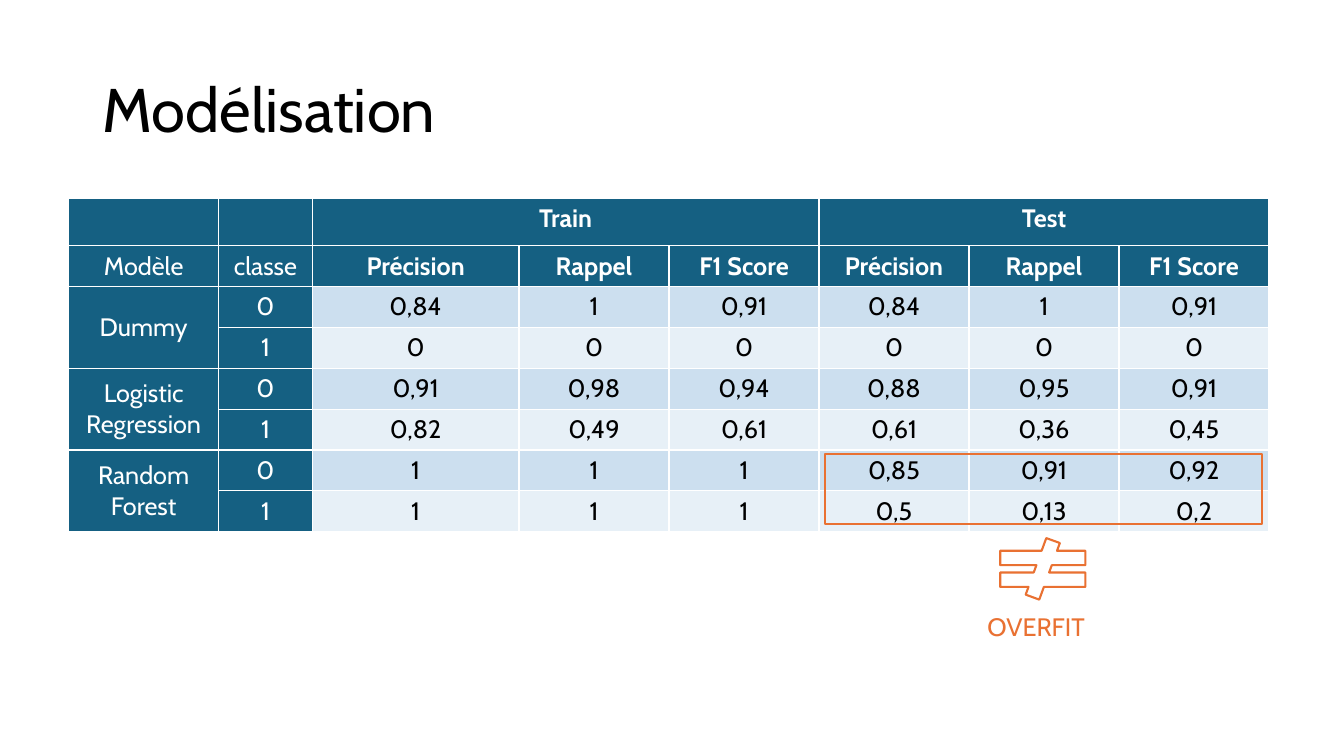
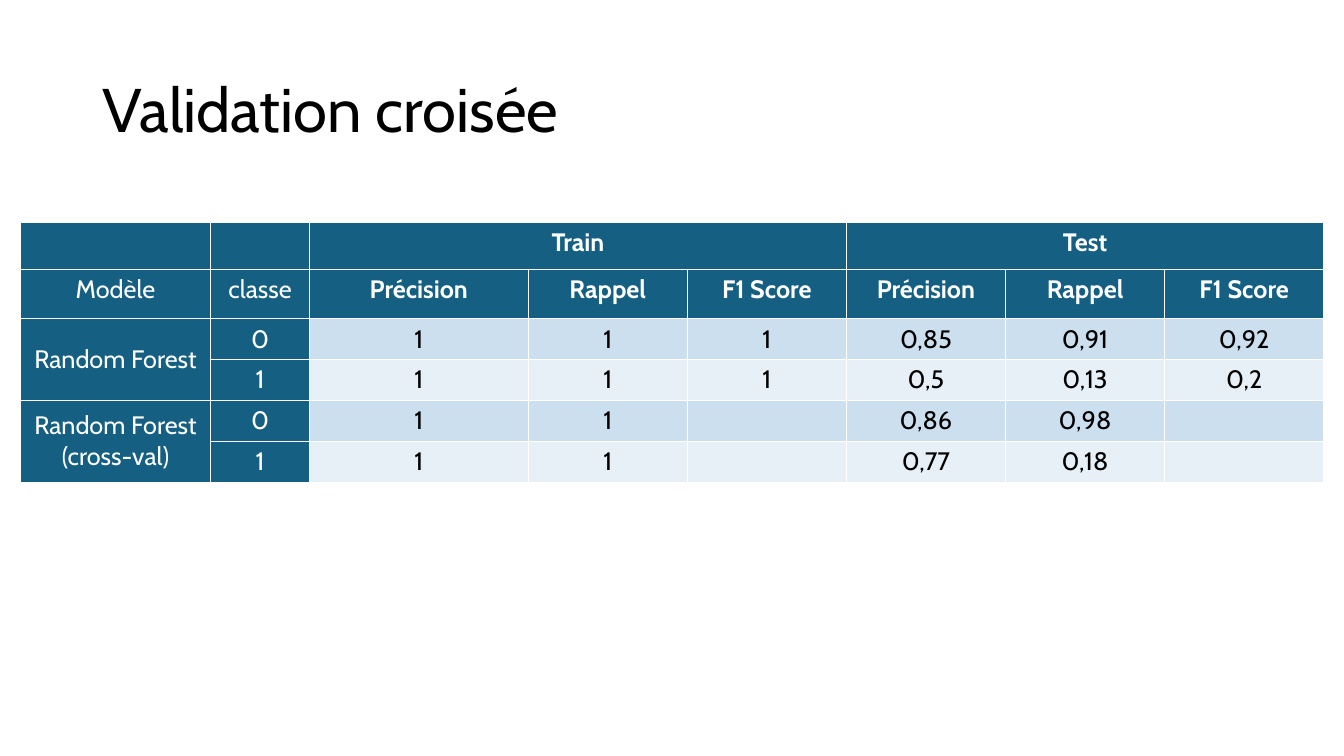
from lxml import etree
from pptx import Presentation
from pptx.dml.color import RGBColor
from pptx.enum.shapes import MSO_SHAPE
from pptx.enum.text import MSO_ANCHOR, PP_ALIGN
from pptx.oxml import parse_xml
from pptx.oxml.ns import nsdecls
from pptx.util import Cm, Pt

CENTER, LEFT = PP_ALIGN.CENTER, PP_ALIGN.LEFT
TOP, MIDDLE = MSO_ANCHOR.TOP, MSO_ANCHOR.MIDDLE
RECTANGLE, NOT_EQUAL = MSO_SHAPE.RECTANGLE, MSO_SHAPE.MATH_NOT_EQUAL

FONT = "Cabin"
BLACK = RGBColor(0x00, 0x00, 0x00)
WHITE = RGBColor(0xFF, 0xFF, 0xFF)
HEADER_BLUE = RGBColor(0x15, 0x60, 0x82)
ORANGE = RGBColor(0xE9, 0x71, 0x32)
BANDS = (RGBColor(0xCC, 0xDF, 0xEF), RGBColor(0xE7, 0xF0, 0xF7))

# Content: each model has one row of scores per class (0, then 1)
PHASES = ("Train", "Test")
METRICS = ("Précision", "Rappel", "F1 Score")
LABELS = ("Modèle", "classe")

SCORE_SLIDES = [
    {
        "title": "Modélisation",
        "origin": (1.73, 5.0),
        "columns": [3.78, 2.36, 5.21] + [3.78] * 5,
        "header_rows": [1.19, 1.03],
        "models": [
            ("Dummy", [("0,84", "1", "0,91", "0,84", "1", "0,91"),
                       ("0", "0", "0", "0", "0", "0")]),
            ("Logistic Regression", [("0,91", "0,98", "0,94", "0,88", "0,95", "0,91"),
                                     ("0,82", "0,49", "0,61", "0,61", "0,36", "0,45")]),
            ("Random Forest", [("1", "1", "1", "0,85", "0,91", "0,92"),
                               ("1", "1", "1", "0,5", "0,13", "0,2")]),
        ],
        "overfit": True,
    },
    {
        "title": "Validation croisée",
        "origin": (0.51, 5.6),
        "columns": [4.8, 2.49, 5.51] + [4.01] * 5,
        "header_rows": [1.19, 1.24],
        "models": [
            ("Random Forest", [("1", "1", "1", "0,85", "0,91", "0,92"),
                               ("1", "1", "1", "0,5", "0,13", "0,2")]),
            ("Random Forest\n(cross-val)", [("1", "1", "", "0,86", "0,98", ""),
                                            ("1", "1", "", "0,77", "0,18", "")]),
        ],
        "overfit": False,
    },
]
SCORE_ROW = 1.03

# Places on the slide: left, top, width, height in cm
TITLE_BOX = (2.33, 1.0, 29.21, 3.68)
OVERFIT_FRAME = (20.8, 11.43, 11.0, 1.78)
OVERFIT_SIGN = (24.82, 13.56, 2.92, 1.55)
OVERFIT_LABEL = (23.19, 15.29, 5.84, 1.02)


def write(frame, text, size=18, color=BLACK, bold=False, align=CENTER,
          anchor=TOP, spacing=None):
    frame.word_wrap = True
    frame.vertical_anchor = anchor
    frame.text = text
    for paragraph in frame.paragraphs:
        paragraph.alignment = align
        paragraph.line_spacing = spacing
        for run in paragraph.runs:
            run.font.name = FONT
            run.font.size = Pt(size)
            run.font.bold = bold
            run.font.color.rgb = color


def add_text(slide, box, text, **style):
    write(slide.shapes.add_textbox(*map(Cm, box)).text_frame, text, **style)


def add_outline(slide, preset, box):
    outline = slide.shapes.add_shape(preset, *map(Cm, box))
    outline.shadow.inherit = False
    outline.fill.background()
    outline.line.color.rgb = ORANGE
    outline.line.width = Pt(1.5)


def add_borders(cell):
    properties = cell._tc.get_or_add_tcPr()
    for side in ("lnL", "lnR", "lnT", "lnB"):
        border = parse_xml(f'<a:{side} {nsdecls("a")} w="{Pt(1)}"/>')
        fill = etree.SubElement(border, border.tag.replace(side, "solidFill"))
        color = etree.SubElement(fill, border.tag.replace(side, "srgbClr"))
        color.set("val", str(WHITE))
        properties.append(border)


def score_grid(models):
    """Texts of the whole table, row by row; merged cells stay empty."""
    phase_row = ["", ""]
    for phase in PHASES:
        phase_row += [phase] + [""] * (len(METRICS) - 1)
    grid = [phase_row, [*LABELS, *METRICS * len(PHASES)]]
    for model, class_scores in models:
        for number, scores in enumerate(class_scores):
            grid.append([model if number == 0 else "", str(number), *scores])
    return grid


def add_score_table(slide, content):
    grid = score_grid(content["models"])
    columns = content["columns"]
    heads = len(content["header_rows"])
    heights = content["header_rows"] + [SCORE_ROW] * (len(grid) - heads)
    size = (sum(columns), sum(heights))
    table = slide.shapes.add_table(len(grid), len(columns),
                                   *map(Cm, content["origin"] + size)).table
    table.first_row = table.horz_banding = False
    for column, width in zip(table.columns, columns):
        column.width = Cm(width)
    for row, height in zip(table.rows, heights):
        row.height = Cm(height)

    # Cells: blue headers above and to the left, banded scores
    for r, texts in enumerate(grid):
        for c, text in enumerate(texts):
            cell = table.cell(r, c)
            is_header = r < heads or c < len(LABELS)
            add_borders(cell)
            cell.fill.solid()
            cell.fill.fore_color.rgb = HEADER_BLUE if is_header else BANDS[(r - heads) % 2]
            write(cell.text_frame, text, color=WHITE if is_header else BLACK,
                  bold=r < heads and c >= len(LABELS))
            cell.vertical_anchor = MIDDLE if r >= heads and c == 0 else TOP

    # Spans: one per phase, one per model
    for c in range(len(LABELS), len(columns), len(METRICS)):
        table.cell(0, c).merge(table.cell(0, c + len(METRICS) - 1))
    for r in range(heads, len(grid), 2):
        table.cell(r, 0).merge(table.cell(r + 1, 0))


def main():
    deck = Presentation()
    deck.slide_width, deck.slide_height = Cm(33.87), Cm(19.05)
    for content in SCORE_SLIDES:
        slide = deck.slides.add_slide(deck.slide_layouts[6])
        add_text(slide, TITLE_BOX, content["title"], size=44, align=LEFT,
                 anchor=MIDDLE, spacing=0.9)
        add_score_table(slide, content)
        if content["overfit"]:
            add_outline(slide, RECTANGLE, OVERFIT_FRAME)
            add_outline(slide, NOT_EQUAL, OVERFIT_SIGN)
            add_text(slide, OVERFIT_LABEL, "OVERFIT", color=ORANGE)
    deck.save("out.pptx")


if __name__ == "__main__":
    main()
